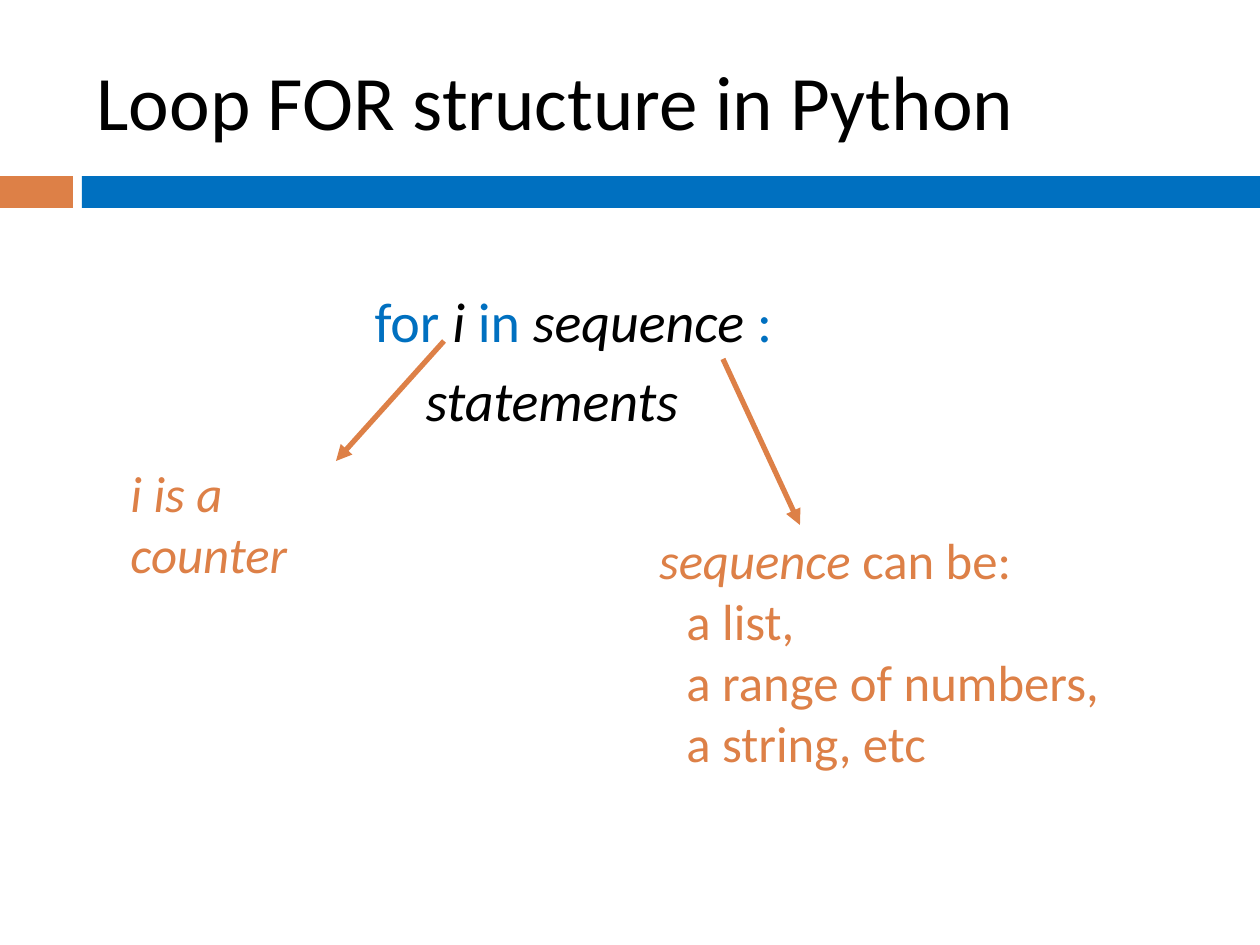
from lxml import etree
from pptx import Presentation
from pptx.dml.color import RGBColor
from pptx.enum.shapes import MSO_CONNECTOR, MSO_SHAPE
from pptx.enum.text import MSO_ANCHOR, MSO_AUTO_SIZE, PP_ALIGN
from pptx.oxml.ns import qn
from pptx.util import Pt

RECTANGLE = MSO_SHAPE.RECTANGLE
STRAIGHT = MSO_CONNECTOR.STRAIGHT
LEFT, CENTER = PP_ALIGN.LEFT, PP_ALIGN.CENTER
TOP, MIDDLE = MSO_ANCHOR.TOP, MSO_ANCHOR.MIDDLE
NO_FIT = MSO_AUTO_SIZE.NONE

PX = 914400 / 126
FONT = "Calibri"
COLORS = {"orange": "DD8047", "blue": "0070C0", "black": "000000", "white": "FFFFFF"}


def px(*lengths):
    return [round(length * PX) for length in lengths]


def rgb(name):
    return RGBColor.from_string(COLORS[name])


def place(box, left, top, width, height):
    box.left, box.top, box.width, box.height = px(left, top, width, height)


def set_frame(box, anchor):
    frame = box.text_frame
    frame.word_wrap = True
    frame.auto_size = NO_FIT
    frame.vertical_anchor = anchor
    return frame


def write_para(frame, spans, size, color=None, indent=0, align=LEFT, before=0):
    """Add a paragraph of (text, italic, color) spans; color None follows the paragraph."""
    first = frame.paragraphs[0]
    para = first if not first.runs else frame.add_paragraph()
    properties = para._p.get_or_add_pPr()
    properties.set("marL", str(px(indent)[0]))
    properties.set("indent", "0")
    etree.SubElement(properties, qn("a:buNone"))
    para.alignment = align
    para.space_before = Pt(before)
    para.font.name = FONT
    para.font.size = Pt(size)
    if color:
        para.font.color.rgb = rgb(color)
    for text, italic, span_color in spans:
        span = para.add_run()
        span.text = text
        span.font.italic = italic
        if span_color:
            span.font.color.rgb = rgb(span_color)


def add_bar(page, left, top, width, height, color):
    bar = page.shapes.add_shape(RECTANGLE, *px(left, top, width, height))
    bar.shadow.inherit = False
    bar.fill.solid()
    bar.fill.fore_color.rgb = rgb(color)
    bar.line.fill.background()


def add_text(page, left, top, width, height):
    return set_frame(page.shapes.add_textbox(*px(left, top, width, height)), TOP)


def add_arrow(page, *ends):
    arrow = page.shapes.add_connector(STRAIGHT, *px(*ends))
    arrow.line.color.rgb = rgb("orange")
    arrow.line.width = Pt(3)
    etree.SubElement(arrow.line._get_or_add_ln(), qn("a:tailEnd"), type="triangle")
    etree.SubElement(arrow._element.spPr, qn("a:effectLst"))


def fill_title(title):
    place(title, 84, 32, 1124, 136)
    frame = set_frame(title, MIDDLE)
    write_para(frame, [("Loop FOR structure in Python", False, None)], 44, "black")


def fill_syntax(body):
    place(body, 362, 280, 423, 228)
    body.fill.solid()
    body.fill.fore_color.rgb = rgb("white")
    frame = set_frame(body, TOP)
    loop = [
        ("for ", False, "blue"),
        ("i ", True, "black"),
        ("in ", False, "blue"),
        ("sequence ", True, "black"),
        (":", False, "blue"),
    ]
    write_para(frame, loop, 32)
    write_para(frame, [("statements", True, None)], 32, "black", indent=51, before=7)


def add_notes_on_parts(page):
    """Explain the sequence and the counter beside the loop."""
    sequence = add_text(page, 548, 523, 586, 258)
    heading = [("sequence", True, None), (" can be: ", False, None)]
    write_para(sequence, heading, 29, "orange", align=CENTER)
    for kind in ("a list,", "a range of numbers,", "a string, etc"):
        write_para(sequence, [(kind, False, None)], 29, "orange", indent=126)
    add_arrow(page, 723, 359, 800, 525)
    add_arrow(page, 444, 341, 336, 461)
    counter = add_text(page, 118, 456, 270, 74)
    write_para(counter, [("i is a counter", True, None)], 29, "orange")


def main():
    deck = Presentation()
    deck.slide_width, deck.slide_height = px(1260, 945)
    page = deck.slides.add_slide(deck.slide_layouts[1])
    add_bar(page, 0, 176, 73, 32, "orange")
    add_bar(page, 82, 176, 1178, 32, "blue")
    fill_title(page.shapes.title)
    fill_syntax(page.placeholders[1])
    add_notes_on_parts(page)
    deck.save("out.pptx")


if __name__ == "__main__":
    main()
